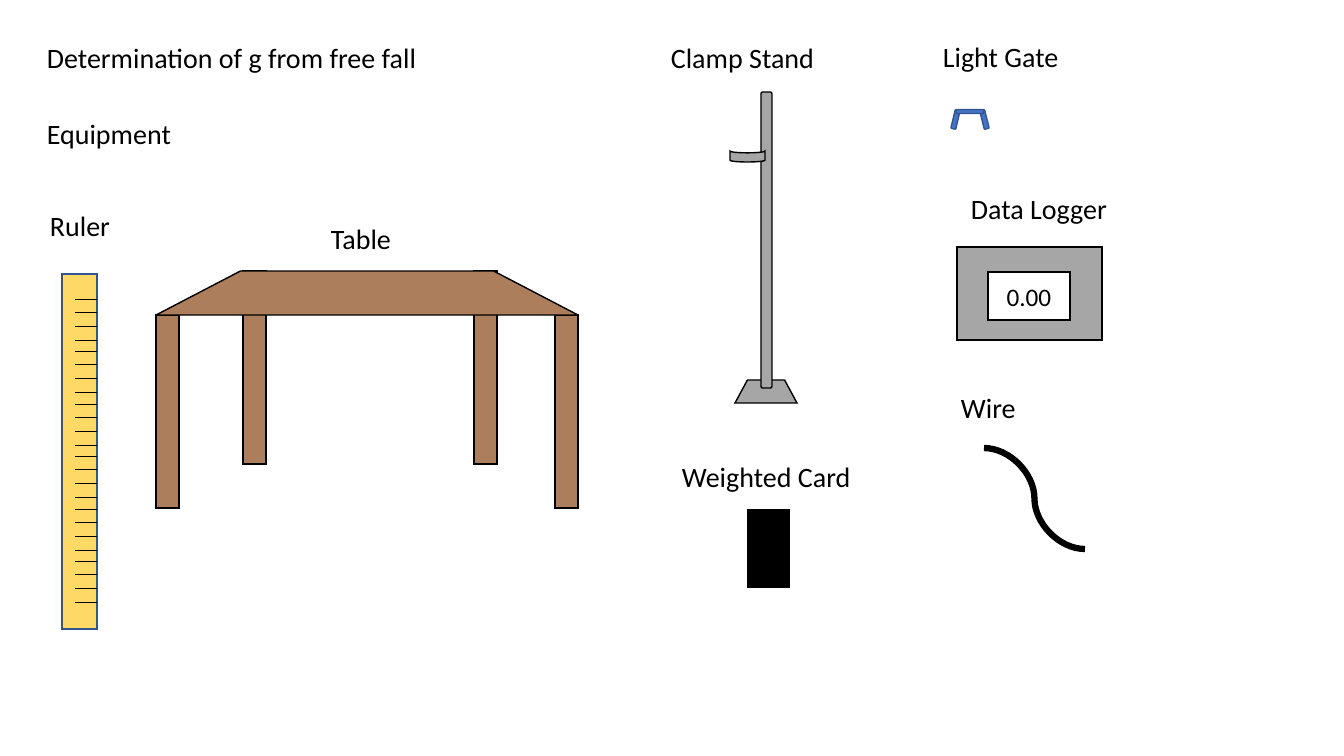
from lxml import etree
from pptx import Presentation
from pptx import util as u
from pptx.dml.color import RGBColor
from pptx.enum import shapes, text
from pptx.oxml.ns import qn

BLACK = RGBColor(0x00, 0x00, 0x00)
WHITE = RGBColor(0xFF, 0xFF, 0xFF)
YELLOW = RGBColor(0xFF, 0xD9, 0x66)
BROWN = RGBColor(0xAD, 0x7E, 0x5B)
GREY = RGBColor(0xA6, 0xA6, 0xA6)
BLUE = RGBColor(0x44, 0x72, 0xC4)
DARK_BLUE = RGBColor(0x32, 0x54, 0x91)

FONT = "Calibri"
KIND = shapes.MSO_SHAPE
RECT, ROUNDED = KIND.RECTANGLE, KIND.ROUNDED_RECTANGLE
TRAPEZOID, CURVED_BAR = KIND.FLOWCHART_MANUAL_OPERATION, KIND.FLOWCHART_STORED_DATA

# Content, in px: text, left, top, width
LABEL_HEIGHT = 44
LABELS = [
    ("Determination of g from free fall", 37, 36, 422),
    ("Equipment", 37, 112, 175),
    ("Ruler", 40, 204, 94),
    ("Table", 321, 217, 94),
    ("Clamp Stand", 661, 36, 204),
    ("Weighted Card", 672, 455, 214),
    ("Light Gate", 933, 35, 204),
    ("Data Logger", 961, 187, 166),
    ("Wire", 951, 386, 166),
]

# Grouped equipment: fill, line, parts (kind, left, top, width, height, rotation)
LEG_WIDTH, LEG_HEIGHT = 23, 193
BACK_LEGS, FRONT_LEGS = (271, (243, 474)), (315, (555, 156))
TABLE_LEGS = [(RECT, left, top, LEG_WIDTH, LEG_HEIGHT, 0)
              for top, lefts in (BACK_LEGS, FRONT_LEGS) for left in lefts]
EQUIPMENT = {
    "table": (BROWN, BLACK, TABLE_LEGS + [(TRAPEZOID, 156, 271, 422, 44, 180)]),
    "clamp stand": (GREY, BLACK, [(TRAPEZOID, 735, 380, 62, 23, 180),
                                  (ROUNDED, 761, 92, 11, 296, 0)]),
    "light gate": (BLUE, DARK_BLUE, [(ROUNDED, 953, 110, 5, 19, 13.5),
                                     (ROUNDED, 982, 110, 5, 19, 346.1),
                                     (ROUNDED, 968, 98, 4, 27, 90)]),
}
CLAMP = (CURVED_BAR, 742, 139, 11, 35, 270)
CARD = (RECT, 748, 510, 41, 77, 0)
LOGGER, SCREEN = (RECT, 957, 247, 145, 93, 0), (RECT, 988, 272, 82, 48, 0)
READING = "0.00"
WIRE = (984, 448, 1085, 549)

# Ruler marks come in groups of four
RULER = (RECT, 62, 274, 35, 355, 0)
MARK_LEFT, MARK_RIGHT, MARK_TOP = 75, 97, 299
MARK_GROUPS, GROUP_PITCH, MARK_OFFSETS = 6, 52.4, (0, 13, 27, 41)


def px(length):
    return u.Emu(round(length * 914400 / 100.8))


def write(shape, words, size=20, align=text.PP_ALIGN.LEFT, anchor=text.MSO_ANCHOR.TOP):
    frame = shape.text_frame
    frame.word_wrap = True
    frame.vertical_anchor = anchor
    paragraph = frame.paragraphs[0]
    paragraph.alignment = align
    run = paragraph.add_run()
    run.text = words
    run.font.name, run.font.size = FONT, u.Pt(size)
    run.font.color.rgb = BLACK


def add_part(parent, part, fill, line):
    kind, left, top, width, height, rotation = part
    shape = parent.shapes.add_shape(kind, px(left), px(top), px(width), px(height))
    shape.rotation = rotation
    shape.shadow.inherit = False
    shape.fill.solid()
    shape.fill.fore_color.rgb = fill
    shape.line.color.rgb = line
    shape.line.width = u.Pt(1)
    outline = shape._element.spPr.find(qn("a:ln"))
    etree.SubElement(outline, qn("a:miter")).set("lim", "800000")
    return shape


def add_line(parent, ends, weight, kind=shapes.MSO_CONNECTOR.STRAIGHT):
    connector = parent.shapes.add_connector(kind, *map(px, ends))
    connector.line.color.rgb = BLACK
    connector.line.width = u.Pt(weight)
    etree.SubElement(connector._element.spPr, qn("a:effectLst"))


presentation = Presentation()
presentation.slide_width, presentation.slide_height = px(1344), px(756)
slide = presentation.slides.add_slide(presentation.slide_layouts[6])

# Ruler with its marks
ruler = slide.shapes.add_group_shape()
add_part(ruler, RULER, YELLOW, DARK_BLUE)
for group_index in range(MARK_GROUPS):
    for offset in MARK_OFFSETS:
        y = round(MARK_TOP + group_index * GROUP_PITCH + offset)
        add_line(ruler, (MARK_LEFT, y, MARK_RIGHT, y), 0.5)

# Table, clamp stand and light gate
for fill, line, parts in EQUIPMENT.values():
    group = slide.shapes.add_group_shape()
    for part in parts:
        add_part(group, part, fill, line)
add_part(slide, CLAMP, GREY, BLACK)

# Data logger
logger = slide.shapes.add_group_shape()
add_part(logger, LOGGER, GREY, BLACK)
screen = add_part(logger, SCREEN, WHITE, BLACK)
write(screen, READING, size=18, align=text.PP_ALIGN.CENTER, anchor=text.MSO_ANCHOR.MIDDLE)

# Wire and weighted card
add_line(slide, WIRE, 4.5, kind=shapes.MSO_CONNECTOR.CURVE)
add_part(slide, CARD, BLACK, BLACK)

# Labels
for words, left, top, width in LABELS:
    label = slide.shapes.add_textbox(px(left), px(top), px(width), px(LABEL_HEIGHT))
    write(label, words)
    label.text_frame.auto_size = text.MSO_AUTO_SIZE.SHAPE_TO_FIT_TEXT

presentation.save("out.pptx")
